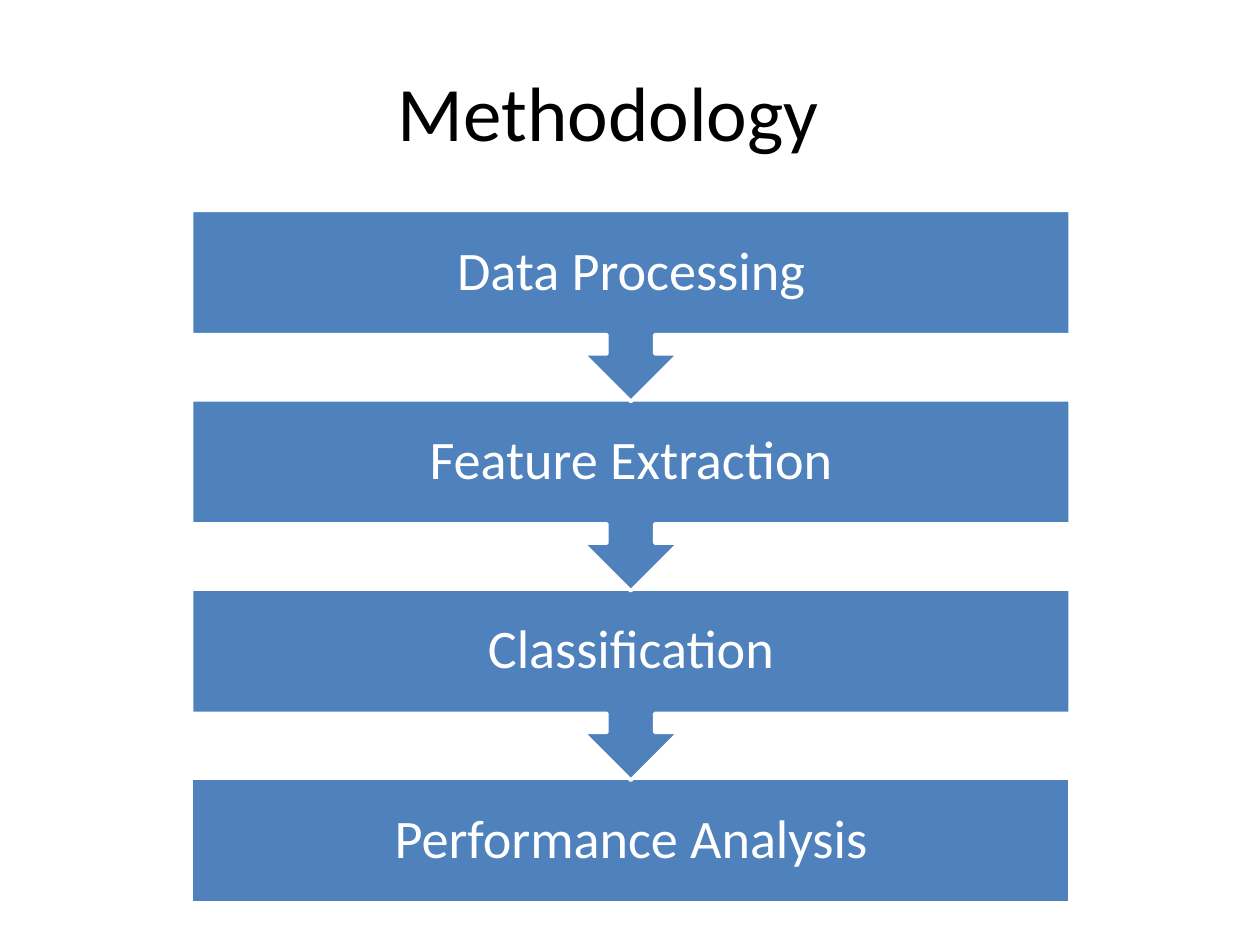
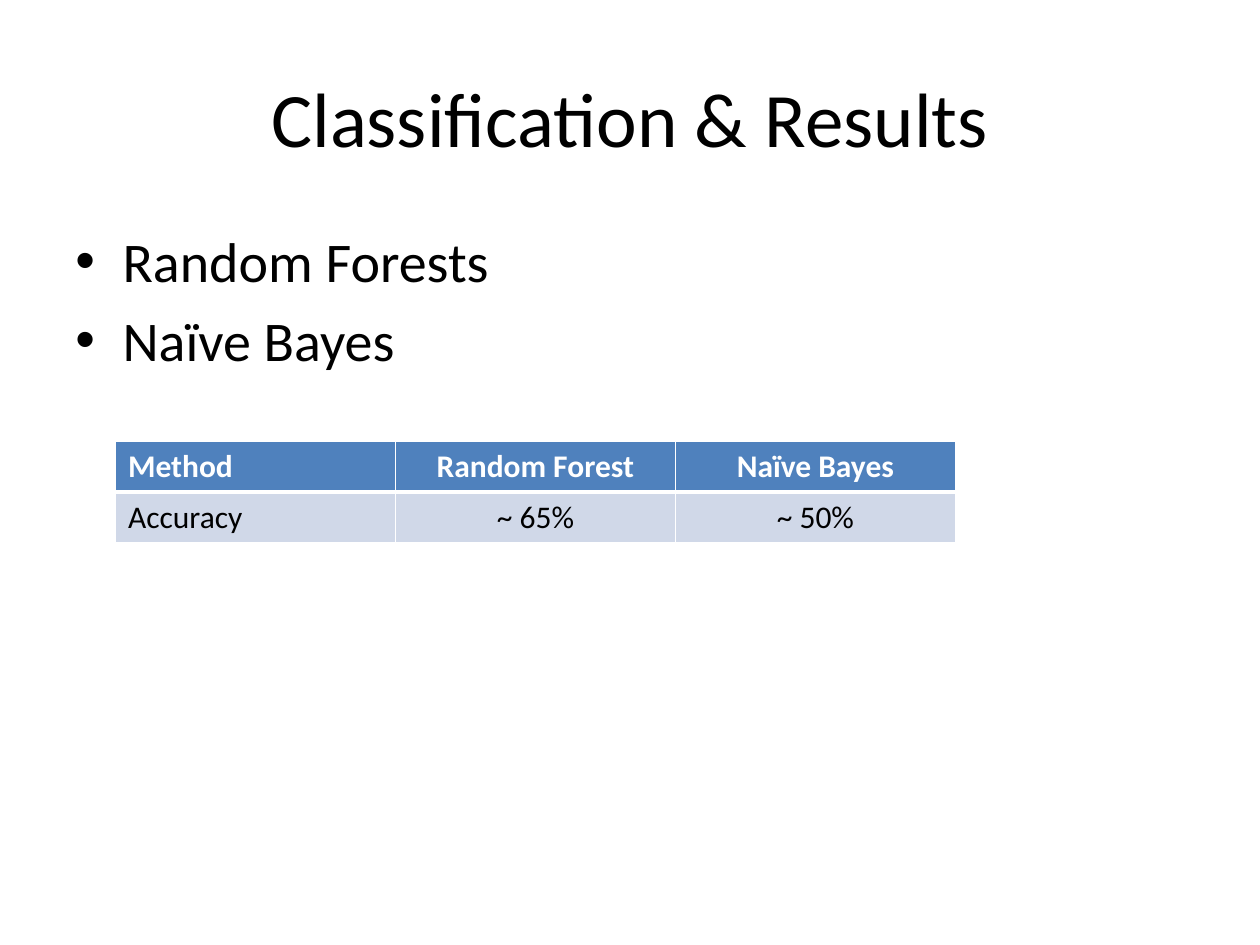
from dataclasses import dataclass

from lxml.etree import SubElement
from pptx import Presentation
from pptx.dml.color import RGBColor
from pptx.enum.shapes import MSO_SHAPE as Preset
from pptx.enum.text import MSO_ANCHOR as Anchor, PP_ALIGN as Align
from pptx.oxml.ns import qn
from pptx.slide import Slide
from pptx.util import Pt

BLUE = RGBColor(0x4F, 0x81, 0xBD)
PALE_BLUE = RGBColor(0xD0, 0xD8, 0xE8)
WHITE = RGBColor(0xFF, 0xFF, 0xFF)
BLACK = RGBColor(0x00, 0x00, 0x00)
FONT = "Calibri"

STEPS = ["Data Processing", "Feature Extraction", "Classification", "Performance Analysis"]
STEP_LEFT, STEP_TOP, STEP_WIDTH, STEP_PITCH = 109.5, 120.3, 502, 108.2
CALLOUT_HEIGHT, LAST_STEP_HEIGHT = 109.2, 71
STEP_INSET = 17

METHODS = ["Random Forests", "Naïve Bayes"]
BULLET_INDENT = 27
ACCURACY_ROWS = [
    ["Method", "Random Forest", "Naïve Bayes"],
    ["Accuracy", "~ 65%", "~ 50%"],
]
COLUMN_WIDTH, ROW_HEIGHT = 160, 29.2


@dataclass(frozen=True)
class Area:
    left: float
    top: float
    width: float
    height: float

    def lengths(self) -> tuple:
        return Pt(self.left), Pt(self.top), Pt(self.width), Pt(self.height)


@dataclass(frozen=True)
class TextStyle:
    size: float
    color: RGBColor = BLACK
    bold: bool = False
    align: Align = Align.CENTER


TITLE = TextStyle(44)
STEP = TextStyle(31, WHITE)
BULLET = TextStyle(32, align=Align.LEFT)


def write(para, text: str, style: TextStyle) -> None:
    para.alignment = style.align
    span = para.add_run()
    span.text = text
    span.font.name = FONT
    span.font.size = Pt(style.size)
    span.font.bold = style.bold
    span.font.color.rgb = style.color


def add_title(page: Slide, text: str, area: Area, left_inset: float = 7.2) -> None:
    frame = page.shapes.add_textbox(*area.lengths()).text_frame
    frame.word_wrap = True
    frame.vertical_anchor = Anchor.MIDDLE
    frame.margin_left = Pt(left_inset)
    write(frame.paragraphs[0], text, TITLE)


def add_step(page: Slide, text: str, preset: Preset, area: Area) -> None:
    box = page.shapes.add_shape(preset, *area.lengths())
    box.shadow.inherit = False
    box.fill.solid()
    box.fill.fore_color.rgb = BLUE
    box.line.color.rgb = WHITE
    box.line.width = Pt(2)
    frame = box.text_frame
    frame.word_wrap = True
    frame.vertical_anchor = Anchor.MIDDLE
    frame.margin_left = frame.margin_right = Pt(STEP_INSET)
    frame.margin_top = frame.margin_bottom = Pt(STEP_INSET)
    para = frame.paragraphs[0]
    para.line_spacing = 0.9
    write(para, text, STEP)


def add_steps(page: Slide) -> None:
    """Stack the steps from the last up, so each arrow tip lies over the next box."""
    last = len(STEPS) - 1
    for index in range(last, -1, -1):
        preset, height = Preset.DOWN_ARROW_CALLOUT, CALLOUT_HEIGHT
        if index == last:
            preset, height = Preset.RECTANGLE, LAST_STEP_HEIGHT
        top = STEP_TOP + index * STEP_PITCH
        add_step(page, STEPS[index], preset, Area(STEP_LEFT, top, STEP_WIDTH, height))


def add_bullets(page: Slide, items: list[str], area: Area) -> None:
    frame = page.shapes.add_textbox(*area.lengths()).text_frame
    frame.word_wrap = True
    for index, item in enumerate(items):
        para = frame.add_paragraph() if index else frame.paragraphs[0]
        para.space_before = Pt(BULLET.size * 0.2)
        write(para, item, BULLET)
        properties = para._p.get_or_add_pPr()
        properties.set("marL", str(Pt(BULLET_INDENT)))
        properties.set("indent", str(-Pt(BULLET_INDENT)))
        SubElement(properties, qn("a:buFont"), typeface="Arial")
        SubElement(properties, qn("a:buChar"), char="•")


def add_borders(cell, widths: dict[str, float]) -> None:
    properties = cell._tc.get_or_add_tcPr()
    for side, width in widths.items():
        line = SubElement(properties, qn(f"a:ln{side}"), w=str(Pt(width)))
        fill = SubElement(line, qn("a:solidFill"))
        SubElement(fill, qn("a:srgbClr"), val=str(WHITE))


def add_accuracy_table(page: Slide, left: float, top: float) -> None:
    rows, columns = len(ACCURACY_ROWS), len(ACCURACY_ROWS[0])
    area = Area(left, top, columns * COLUMN_WIDTH, rows * ROW_HEIGHT)
    table = page.shapes.add_table(rows, columns, *area.lengths()).table
    table.horz_banding = False
    for r, values in enumerate(ACCURACY_ROWS):
        header = r == 0
        for c, value in enumerate(values):
            cell = table.cell(r, c)
            add_borders(cell, {"L": 1, "R": 1, "T": 1 if header else 3, "B": 3 if header else 1})
            cell.fill.solid()
            cell.fill.fore_color.rgb = BLUE if header else PALE_BLUE
            align = Align.CENTER if c else Align.LEFT
            style = TextStyle(18, WHITE if header else BLACK, header, align)
            write(cell.text_frame.paragraphs[0], value, style)


def main() -> None:
    deck = Presentation()
    deck.slide_width, deck.slide_height = Pt(720), Pt(540)
    blank = deck.slide_layouts[6]

    methodology = deck.slides.add_slide(blank)
    add_title(methodology, "Methodology", Area(30, 18, 600, 90), left_inset=42.5)
    add_steps(methodology)

    results = deck.slides.add_slide(blank)
    add_title(results, "Classification & Results", Area(36, 21.6, 648, 90))
    add_bullets(results, METHODS, Area(36, 126, 648, 356.4))
    add_accuracy_table(results, 66, 252)

    deck.save("out.pptx")


if __name__ == "__main__":
    main()
